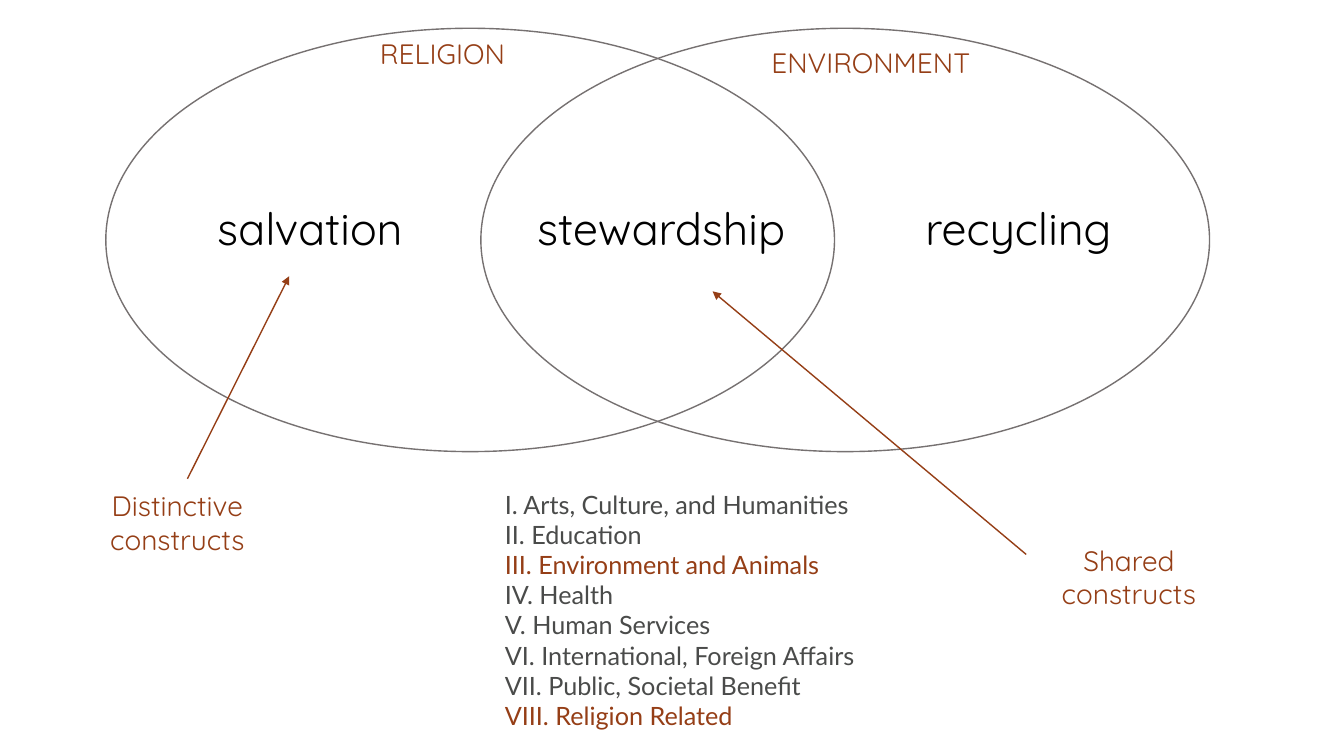
from pptx import Presentation
from pptx.dml.color import RGBColor
from pptx.enum.shapes import MSO_CONNECTOR as Link, MSO_SHAPE as Shape
from pptx.enum.text import MSO_AUTO_SIZE as Fit, PP_ALIGN as Align
from pptx.oxml.ns import qn
from pptx.util import Pt
from lxml.etree import SubElement

COLOURS = {"ring": "767171", "word": "000000", "rust": "953E16", "list": "4A4B4A"}
STYLES = {
    "word": {"name": "Quicksand", "size": Pt(32)},
    "label": {"name": "Quicksand", "size": Pt(20)},
    "list": {"name": "Lato", "size": Pt(18)},
}
SECTORS = [
    ("I. Arts, Culture, and Humanities", "list"),
    ("II. Education", "list"),
    ("III. Environment and Animals", "rust"),
    ("IV. Health", "list"),
    ("V. Human Services", "list"),
    ("VI. International, Foreign Affairs", "list"),
    ("VII. Public, Societal Benefit", "list"),
    ("VIII. Religion Related", "rust"),
]


def colour(key):
    return RGBColor.from_string(COLOURS[key])


def add_frame(slide, left, top, width, height):
    box = slide.shapes.add_textbox(Pt(left), Pt(top), Pt(width), Pt(height))
    frame = box.text_frame
    frame.word_wrap = True
    frame.auto_size = Fit.SHAPE_TO_FIT_TEXT
    return frame


def add_run(para, text, style, key):
    run = para.add_run()
    run.text = text
    for name, value in STYLES[style].items():
        setattr(run.font, name, value)
    run.font.color.rgb = colour(key)


def add_label(slide, box, lines, style, key):
    """Centre one paragraph per line in the box."""
    frame = add_frame(slide, *box)
    for i, text in enumerate(lines):
        para = frame.add_paragraph() if i else frame.paragraphs[0]
        para.alignment = Align.CENTER
        add_run(para, text, style, key)


def add_ring(slide, left, top, width, height):
    ring = slide.shapes.add_shape(
        Shape.OVAL, Pt(left), Pt(top), Pt(width), Pt(height))
    ring.shadow.inherit = False
    ring.fill.background()
    ring.line.color.rgb = colour("ring")
    ring.line.width = Pt(1)


def add_arrow(slide, start, end):
    arrow = slide.shapes.add_connector(
        Link.STRAIGHT, *(Pt(n) for n in (*start, *end)))
    arrow.line.color.rgb = colour("rust")
    arrow.line.width = Pt(1)
    SubElement(arrow.line._get_or_add_ln(), qn("a:tailEnd"), type="triangle")
    SubElement(arrow._element.spPr, qn("a:effectLst"))


def add_venn(slide, left, top, width, height):
    """Two overlapping rings, their names and the three words inside."""
    ring = 520.5
    for x in (left, left + width - ring):
        add_ring(slide, x, top, ring, height)
    for text, x, wide in (("salvation", 58.3, 175), ("stewardship", 292.3, 208.8),
                          ("recycling", 546.5, 211)):
        add_label(slide, (left + x, top + 119.5, wide, 46), [text], "word", "word")
    for text, x, y in (("RELIGION", 110.9, 2.2), ("ENVIRONMENT", 416.9, 8.6)):
        add_label(slide, (left + x, top + y, 259.2, 31.5), [text], "label", "rust")


def add_note(slide, box, lines, start, end):
    """A label and the arrow from it; arrow ends are relative to the box."""
    left, top = box[:2]
    add_label(slide, box, lines, "label", "rust")
    add_arrow(slide, *((left + x, top + y) for x, y in (start, end)))


def add_sectors(slide, *box):
    para = add_frame(slide, *box).paragraphs[0]
    for i, (text, key) in enumerate(SECTORS):
        if i:
            para.add_line_break()
        add_run(para, text, "list", key)


def main():
    deck = Presentation()
    deck.slide_width, deck.slide_height = Pt(960), Pt(540)
    slide = deck.slides.add_slide(deck.slide_layouts[6])
    add_venn(slide, 75.6, 20.2, 788.4, 302.4)
    add_sectors(slide, 353.5, 345.6, 480.2, 181.4)
    add_note(slide, (-2.9, 345.6, 259.2, 55.4), ["Distinctive", "constructs"],
             (136.8, -3.6), (209.5, -148.3))
    add_note(slide, (676.8, 384.5, 259.2, 55.4), ["Shared", "constructs"],
             (56.2, 11.5), (-167.8, -176.4))
    deck.save("out.pptx")


if __name__ == "__main__":
    main()
